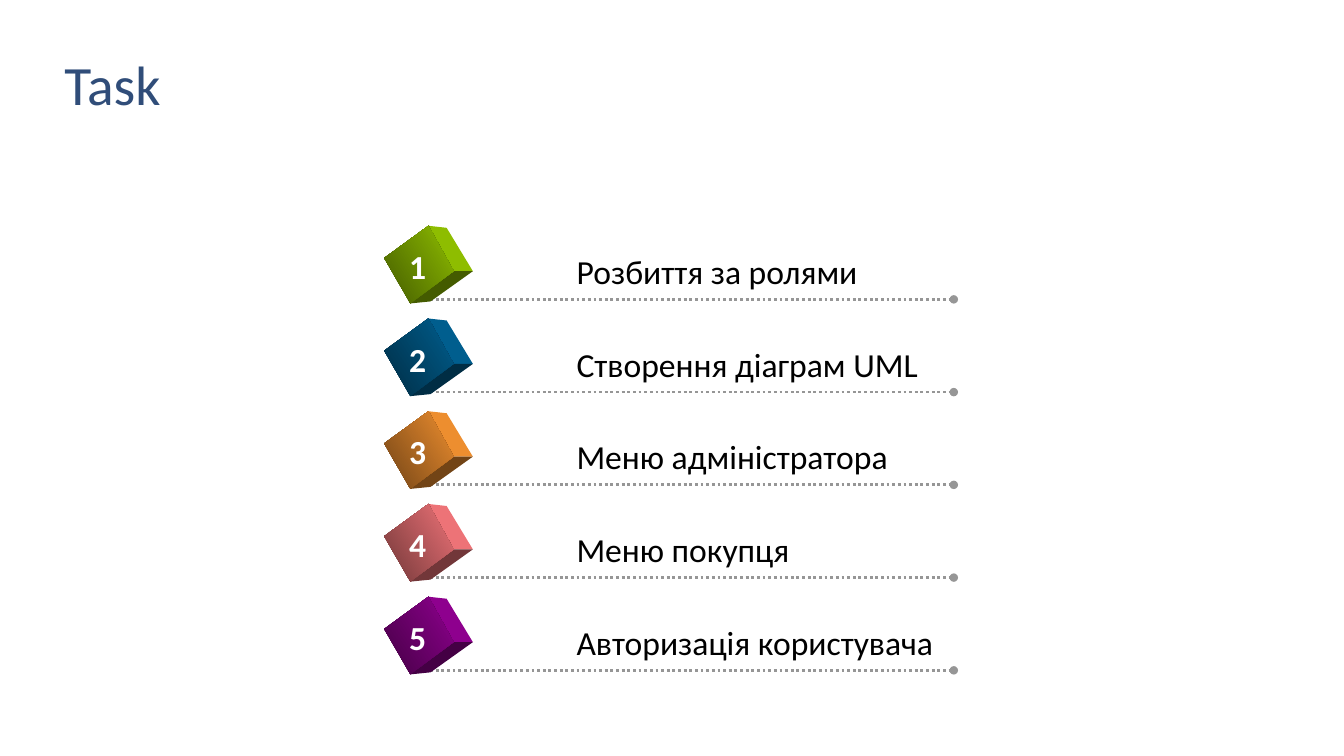
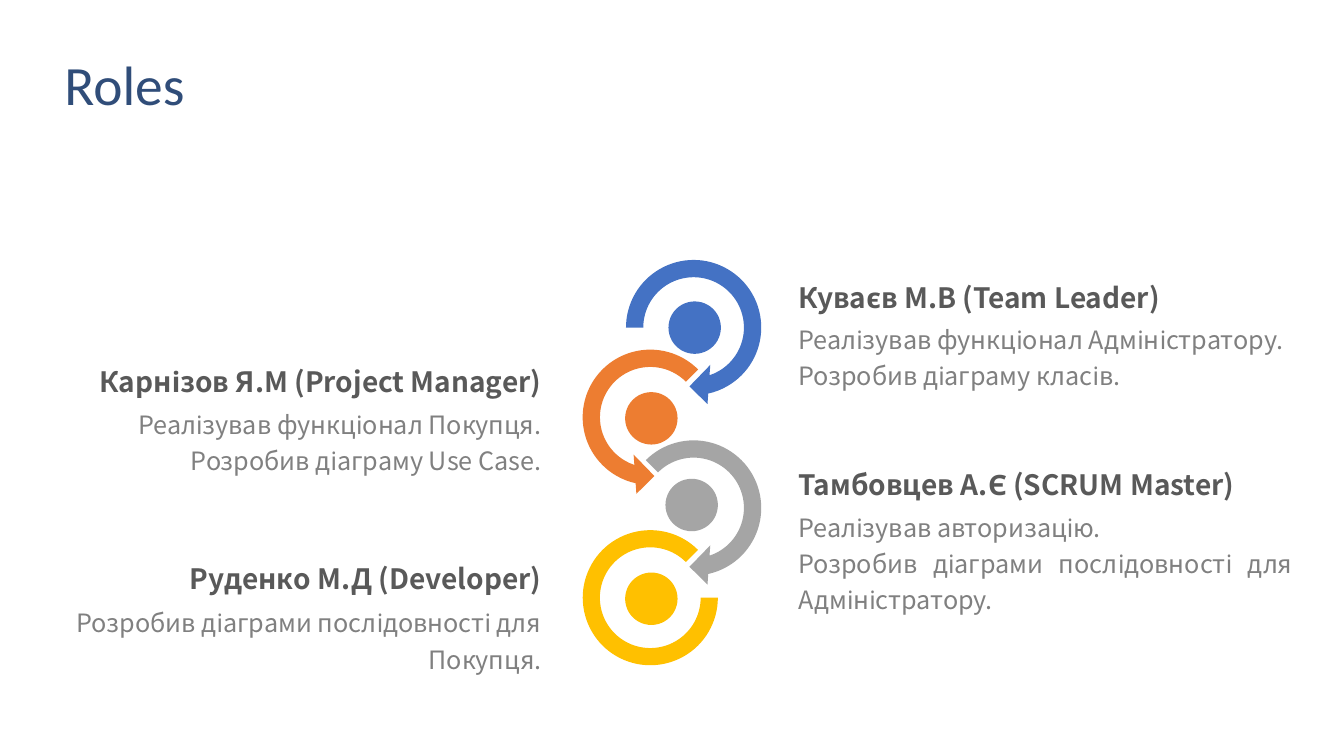
"""Build two slides: a numbered task list and a diagram of team roles."""
import lxml.etree
import pptx
import pptx.dml.color
import pptx.enum.dml
import pptx.enum.shapes
import pptx.enum.text
import pptx.oxml.ns
import pptx.util

PX = 9144
COLORS = {
    "title": "304D79", "black": "000000", "white": "FFFFFF", "rule": "969696",
    "heading": "595959", "body": "808080",
    "green": "99CC00", "navy": "006699", "amber": "FF9933", "pink": "FF7C80", "purple": "990099",
    "blue": "4472C4", "orange": "ED7D31", "gray": "A5A5A5", "gold": "FFC000",
}
RGB = {name: pptx.dml.color.RGBColor.from_string(value) for name, value in COLORS.items()}
LATIN, NOTO = "Calibri", "Noto Sans CJK SC"
SHAPE = pptx.enum.shapes.MSO_SHAPE
ALIGN = pptx.enum.text.PP_ALIGN


def add_text(page, frame, lines, font, size, color, bold=False, wrap=True, align=ALIGN.LEFT, spacing=1.0):
    """Add a text box with one paragraph per line."""
    box = page.shapes.add_textbox(*(value * PX for value in frame))
    box.text_frame.word_wrap = wrap
    for index, line in enumerate(lines):
        para = box.text_frame.paragraphs[0] if index == 0 else box.text_frame.add_paragraph()
        para.alignment = align
        para.line_spacing = spacing
        span = para.add_run()
        span.text = line
        span.font.name = font
        span.font.size = pptx.util.Pt(size)
        span.font.bold = bold
        span.font.color.rgb = RGB[color]
    return box


def paint(shape, rgb):
    """Give a shape a flat fill without line or shadow."""
    shape.shadow.inherit = False
    shape.fill.solid()
    shape.fill.fore_color.rgb = rgb
    shape.line.fill.background()


deck = pptx.Presentation()
deck.slide_width, deck.slide_height = 1333 * PX, 750 * PX
pages = []
for title in ("Task", "Roles"):
    page = deck.slides.add_slide(deck.slide_layouts[6])
    box = add_text(page, (54, 60, 1150, 54), [title], LATIN, 39.6, "title", spacing=0.9)
    box.text_frame.vertical_anchor = pptx.enum.text.MSO_ANCHOR.MIDDLE
    pages.append(page)
task_page, roles_page = pages

TASKS = [
    ("Розбиття за ролями", "green"),
    ("Створення діаграм UML", "navy"),
    ("Меню адміністратора", "amber"),
    ("Меню покупця", "pink"),
    ("Авторизація користувача", "purple"),
]
FIRST_RULE, ROW_PITCH = 297, 92
CUBE_FACES = [
    ("side", 0.93, [(425, -73), (443, -71), (469, -28), (450, -28)]),
    ("bottom", 0.45, [(407, 4), (450, -28), (469, -28), (427, 2)]),
    ("front", 0.93, [(381, -41), (425, -73), (450, -28), (407, 4)]),
]
for index, (task, color) in enumerate(TASKS):
    rule_y = FIRST_RULE + index * ROW_PITCH
    rule = task_page.shapes.add_connector(
        pptx.enum.shapes.MSO_CONNECTOR.STRAIGHT, 421 * PX, rule_y * PX, 946 * PX, rule_y * PX)
    rule.line.color.rgb = RGB["rule"]
    rule.line.width = pptx.util.Pt(2)
    rule.line.dash_style = pptx.enum.dml.MSO_LINE.ROUND_DOT
    lxml.etree.SubElement(rule.line._get_or_add_ln(), pptx.oxml.ns.qn("a:tailEnd"), type="oval")
    lxml.etree.SubElement(rule._element.spPr, pptx.oxml.ns.qn("a:effectLst"))

    for face, light, corners in CUBE_FACES:
        points = [(x, rule_y + y) for x, y in corners]
        builder = task_page.shapes.build_freeform(*points[0], scale=PX)
        builder.add_line_segments(points[1:], close=True)
        shape = builder.convert_to_shape()
        bright, dark = (
            pptx.dml.color.RGBColor(*(int(channel * factor) for channel in RGB[color]))
            for factor in (light, 0.45))
        paint(shape, bright)
        if face == "front":
            shape.fill.gradient()
            shape.fill.gradient_angle = 33
            for stop, rgb in zip(shape.fill.gradient_stops, (dark, bright)):
                stop.color.rgb = rgb

    add_text(task_page, (562, rule_y - 53, 377, 51), [task], LATIN, 24, "black", wrap=False)
    add_text(task_page, (396, rule_y - 58, 39, 50), [str(index + 1)], LATIN, 24, "white", bold=True, wrap=False)

LOOPS = [
    (SHAPE.CIRCULAR_ARROW, (610, 426, 156), (660, 475), (0.11, 11.42, 45, 135, 0.125), "gray"),
    (SHAPE.BLOCK_ARC, (578, 526, 134), (620, 568), (0, 189, 0.127), "gold"),
    (SHAPE.LEFT_CIRCULAR_ARROW, (567, 336, 156), (620, 389), (0.11, 11.42, 63, 189, 0.125), "orange"),
    (SHAPE.CIRCULAR_ARROW, (610, 247, 156), (663, 299), (0.11, 11.42, 45, 108, 0.125), "blue"),
]
DOT = 52
for kind, (left, top, size), (dot_left, dot_top), adjustments, color in LOOPS:
    ring = roles_page.shapes.add_shape(kind, left * PX, top * PX, size * PX, size * PX)
    for index, value in enumerate(adjustments):
        ring.adjustments[index] = value
    dot = roles_page.shapes.add_shape(SHAPE.OVAL, dot_left * PX, dot_top * PX, DOT * PX, DOT * PX)
    for shape in (ring, dot):
        paint(shape, RGB[color])

COLUMNS = {"left": (27, 520, ALIGN.RIGHT), "right": (782, 510, ALIGN.JUSTIFY)}
ROLES = [
    ("right", 267, 311, "Куваєв М.В (Team Leader)",
     ["Реалізував функціонал Адміністратору.", "Розробив діаграму класів."]),
    ("right", 452, 497, "Тамбовцев А.Є (SCRUM Master)",
     ["Реалізував авторизацію.", "Розробив діаграми послідовності для Адміністратору."]),
    ("left", 350, 395, "Карнізов Я.М (Project Manager)",
     ["Реалізував функціонал Покупця.", "Розробив діаграму Use Case."]),
    ("left", 545, 592, "Руденко М.Д (Developer)",
     ["Розробив діаграми послідовності для Покупця."]),
]
for column, name_top, duty_top, name, duties in ROLES:
    left, width, align = COLUMNS[column]
    add_text(roles_page, (left, duty_top, width, 80), duties, NOTO, 18, "body", align=align, spacing=1.2)
    add_text(roles_page, (left, name_top, width, 47), [name], NOTO, 20, "heading",
             bold=True, align=align, spacing=1.2)

deck.save("out.pptx")
